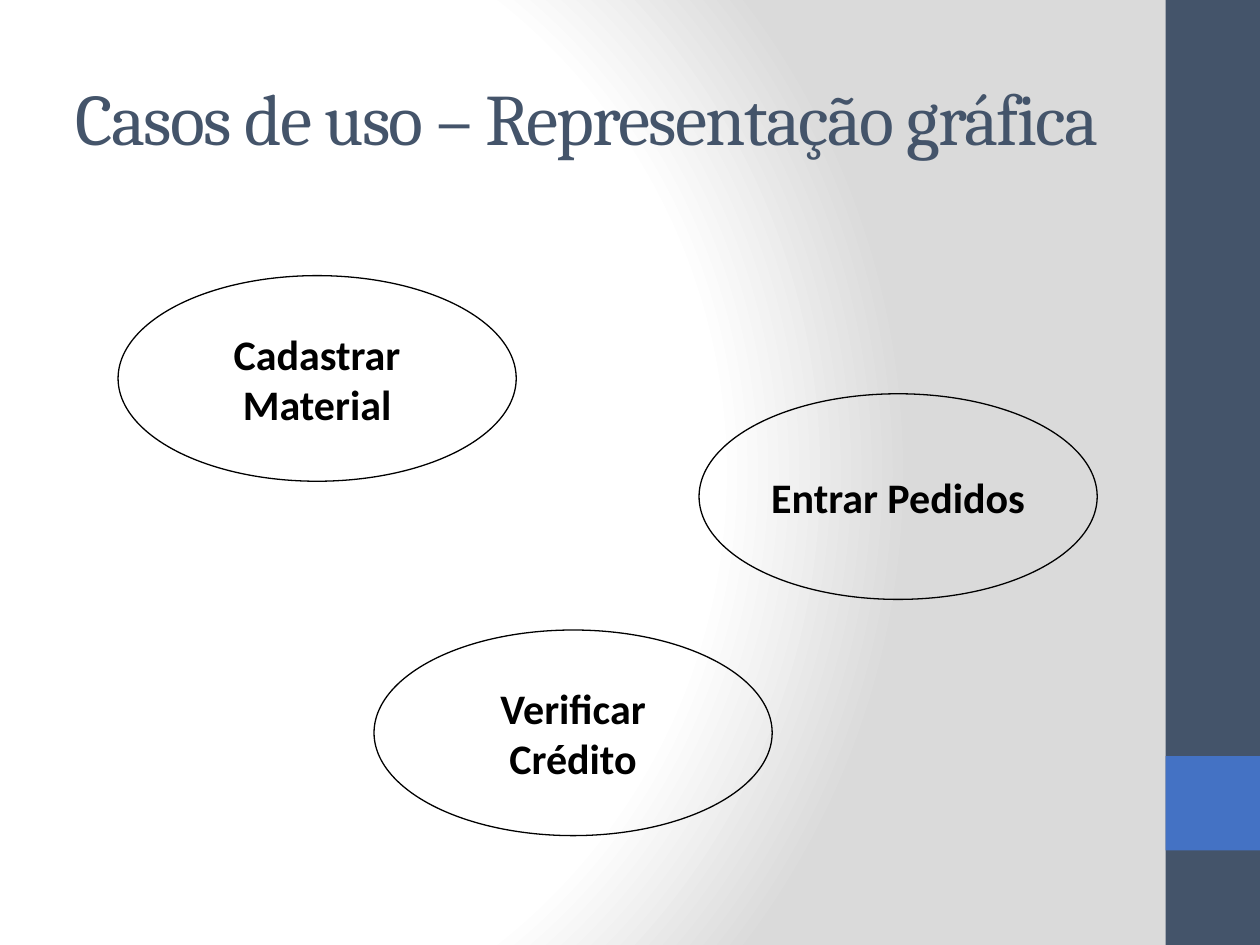
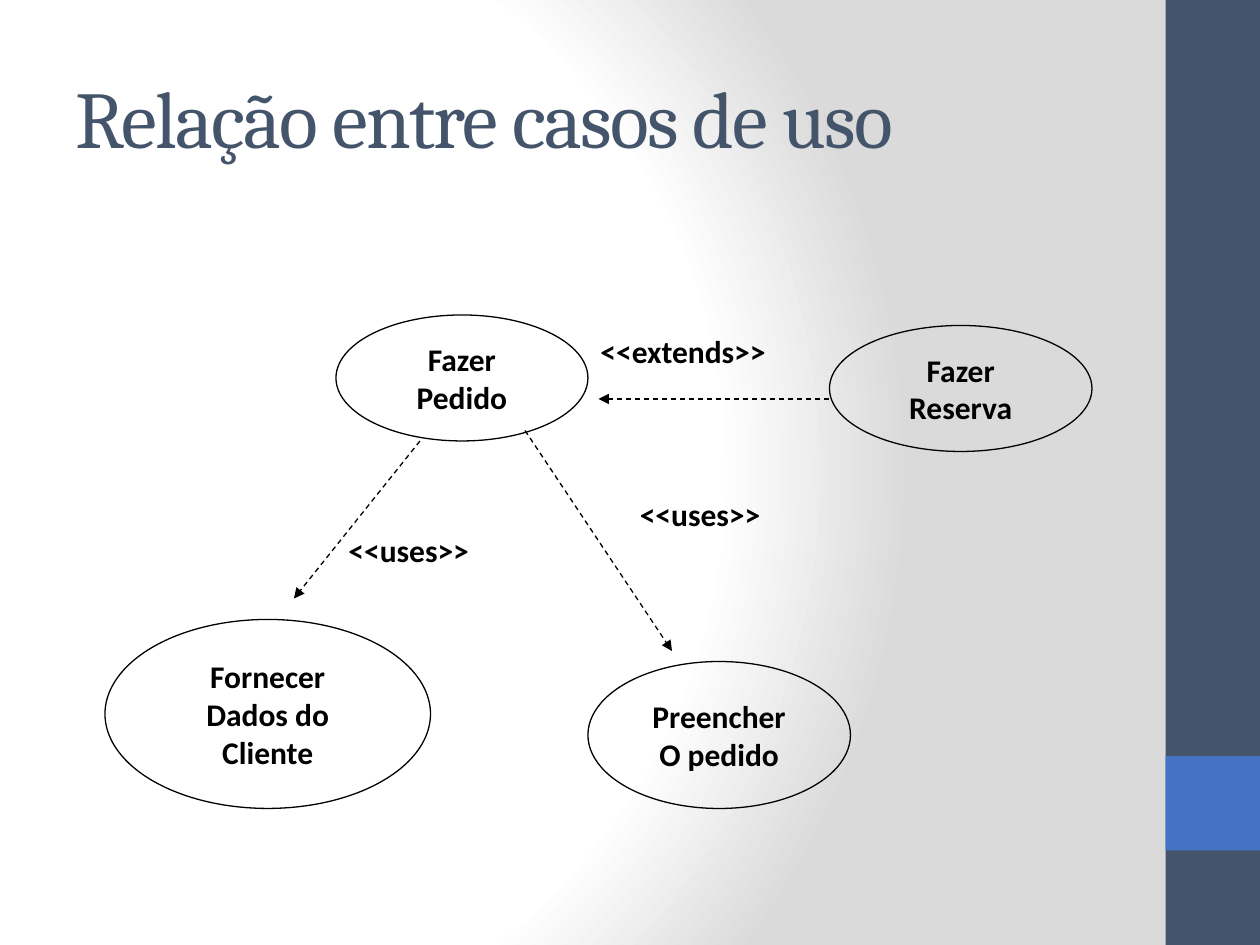
from dataclasses import dataclass

from pptx import Presentation
from pptx.dml.color import RGBColor
from pptx.enum.dml import MSO_LINE
from pptx.enum.shapes import MSO_CONNECTOR, MSO_SHAPE
from pptx.enum.text import MSO_ANCHOR, MSO_AUTO_SIZE, PP_ALIGN
from pptx.oxml import parse_xml
from pptx.oxml.ns import nsdecls, qn
from pptx.slide import Slide
from pptx.text.text import TextFrame
from pptx.util import Pt

RECTANGLE, ELLIPSE = MSO_SHAPE.RECTANGLE, MSO_SHAPE.OVAL
STRAIGHT, DASHED = MSO_CONNECTOR.STRAIGHT, MSO_LINE.DASH
MIDDLE, CENTER, LEFT = MSO_ANCHOR.MIDDLE, PP_ALIGN.CENTER, PP_ALIGN.LEFT
GROW = MSO_AUTO_SIZE.SHAPE_TO_FIT_TEXT


@dataclass(frozen=True)
class Theme:
    navy: str = "44546A"
    blue: str = "4472C4"
    ink: str = "000000"
    paper: str = "FFFFFF"
    shade: str = "DADADA"
    title_font: str = "Cambria"
    body_font: str = "Calibri"
    title_size: float = 46
    long_title_size: float = 41.4
    large_size: float = 24
    small_size: float = 18
    title_spacing: float = -1
    line_width: float = 0.75


@dataclass(frozen=True)
class Box:
    left: float
    top: float
    width: float
    height: float

    def lengths(self) -> tuple[Pt, Pt, Pt, Pt]:
        return Pt(self.left), Pt(self.top), Pt(self.width), Pt(self.height)


@dataclass(frozen=True)
class UseCase:
    box: Box
    lines: tuple[str, ...]


@dataclass(frozen=True)
class Relation:
    start: tuple[float, float]
    end: tuple[float, float]
    stereotype: str
    label_box: Box


THEME = Theme()
PAGE = Box(0, 0, 720, 540)
TITLE_BOX = Box(36, 21.6, 600, 90)
BANDS = ((Box(666, 0, 54, 540), THEME.navy), (Box(666, 432, 54, 54), THEME.blue))


def write(frame: TextFrame, lines: tuple[str, ...], size: float, align: PP_ALIGN,
          font: str = THEME.body_font, color: str = THEME.ink,
          bold: bool = True, spacing: float = 0) -> None:
    for index, line in enumerate(lines):
        paragraph = frame.add_paragraph() if index else frame.paragraphs[0]
        paragraph.alignment = align
        run = paragraph.add_run()
        run.text = line
        run.font.name = font
        run.font.size = Pt(size)
        run.font.bold = bold
        run.font.color.rgb = RGBColor.from_string(color)
        if spacing:
            run.font._element.set("spc", str(int(spacing * 100)))


def paint_background(slide: Slide) -> None:
    slide.background.fill.gradient()
    plain = slide.element.find(".//" + qn("a:gradFill"))
    stops = "".join(
        f'<a:gs pos="{percent * 1000}"><a:srgbClr val="{color}"/></a:gs>'
        for percent, color in ((0, THEME.paper), (75, THEME.paper), (100, THEME.shade)))
    radial = parse_xml(
        f'<a:gradFill {nsdecls("a")} rotWithShape="1"><a:gsLst>{stops}</a:gsLst>'
        '<a:path path="circle"><a:fillToRect l="20000" t="50000" r="100000" b="50000"/>'
        '</a:path></a:gradFill>')
    plain.getparent().replace(plain, radial)


def add_base(deck: Presentation, title: str, size: float) -> Slide:
    slide = deck.slides.add_slide(blank_layout)
    paint_background(slide)
    # Side bands
    for box, color in BANDS:
        band = slide.shapes.add_shape(RECTANGLE, *box.lengths())
        band.shadow.inherit = False
        band.fill.solid()
        band.fill.fore_color.rgb = RGBColor.from_string(color)
        band.line.fill.background()
    # Title
    frame = slide.shapes.add_textbox(*TITLE_BOX.lengths()).text_frame
    frame.word_wrap = True
    frame.vertical_anchor = MIDDLE
    write(frame, (title,), size, LEFT, THEME.title_font, THEME.navy,
          bold=False, spacing=THEME.title_spacing)
    return slide


def add_use_case(slide: Slide, case: UseCase, size: float) -> None:
    oval = slide.shapes.add_shape(ELLIPSE, *case.box.lengths())
    oval.shadow.inherit = False
    oval.fill.background()
    oval.line.color.rgb = RGBColor.from_string(THEME.ink)
    oval.line.width = Pt(THEME.line_width)
    oval.text_frame.word_wrap = False
    oval.text_frame.vertical_anchor = MIDDLE
    write(oval.text_frame, case.lines, size, CENTER)


def add_arrow(slide: Slide, relation: Relation) -> None:
    ends = (Pt(value) for value in relation.start + relation.end)
    arrow = slide.shapes.add_connector(STRAIGHT, *ends)
    arrow.line.color.rgb = RGBColor.from_string(THEME.ink)
    arrow.line.width = Pt(THEME.line_width)
    arrow.line.dash_style = DASHED
    properties = arrow._element.spPr
    properties.find(qn("a:ln")).append(
        parse_xml(f'<a:tailEnd {nsdecls("a")} type="triangle"/>'))
    properties.append(parse_xml(f'<a:effectLst {nsdecls("a")}/>'))


def add_stereotype(slide: Slide, relation: Relation) -> None:
    frame = slide.shapes.add_textbox(*relation.label_box.lengths()).text_frame
    frame.word_wrap = False
    frame.auto_size = GROW
    write(frame, (relation.stereotype,), THEME.small_size, LEFT)


deck = Presentation()
deck.slide_width, deck.slide_height = Pt(PAGE.width), Pt(PAGE.height)
blank_layout = deck.slide_layouts[6]

# Slide 1: use cases on their own
notation = add_base(deck, "Casos de uso – Representação gráfica", THEME.long_title_size)
for left, top, lines in (
    (67.5, 157.5, ("Cadastrar", "Material")),
    (399.5, 225, ("Entrar Pedidos",)),
    (213.75, 360, ("Verificar", "Crédito")),
):
    add_use_case(notation, UseCase(Box(left, top, 227.5, 117.5), lines), THEME.large_size)

# Slide 2: use cases and how they relate
ORDER_CASES = (
    UseCase(Box(192, 180, 144, 72), ("Fazer", "Pedido")),
    UseCase(Box(60, 354, 186, 108), ("Fornecer", "Dados do", "Cliente")),
    UseCase(Box(336, 378, 150, 84), ("Preencher", "O pedido")),
    UseCase(Box(474, 186, 150, 72), ("Fazer", "Reserva")),
)
RELATIONS = (
    Relation((240, 252), (168, 342), "<<uses>>", Box(192, 300, 111.6, 36)),
    Relation((300, 246), (384, 372), "<<uses>>", Box(358.5, 279.5, 111.6, 36)),
    Relation((474, 228), (342, 228), "<<extends>>", Box(336, 186, 146, 36)),
)
relations_slide = add_base(deck, "Relação entre casos de uso", THEME.title_size)
for order_case in ORDER_CASES:
    add_use_case(relations_slide, order_case, THEME.small_size)
for relation in RELATIONS:
    add_arrow(relations_slide, relation)
    add_stereotype(relations_slide, relation)

deck.save("out.pptx")
